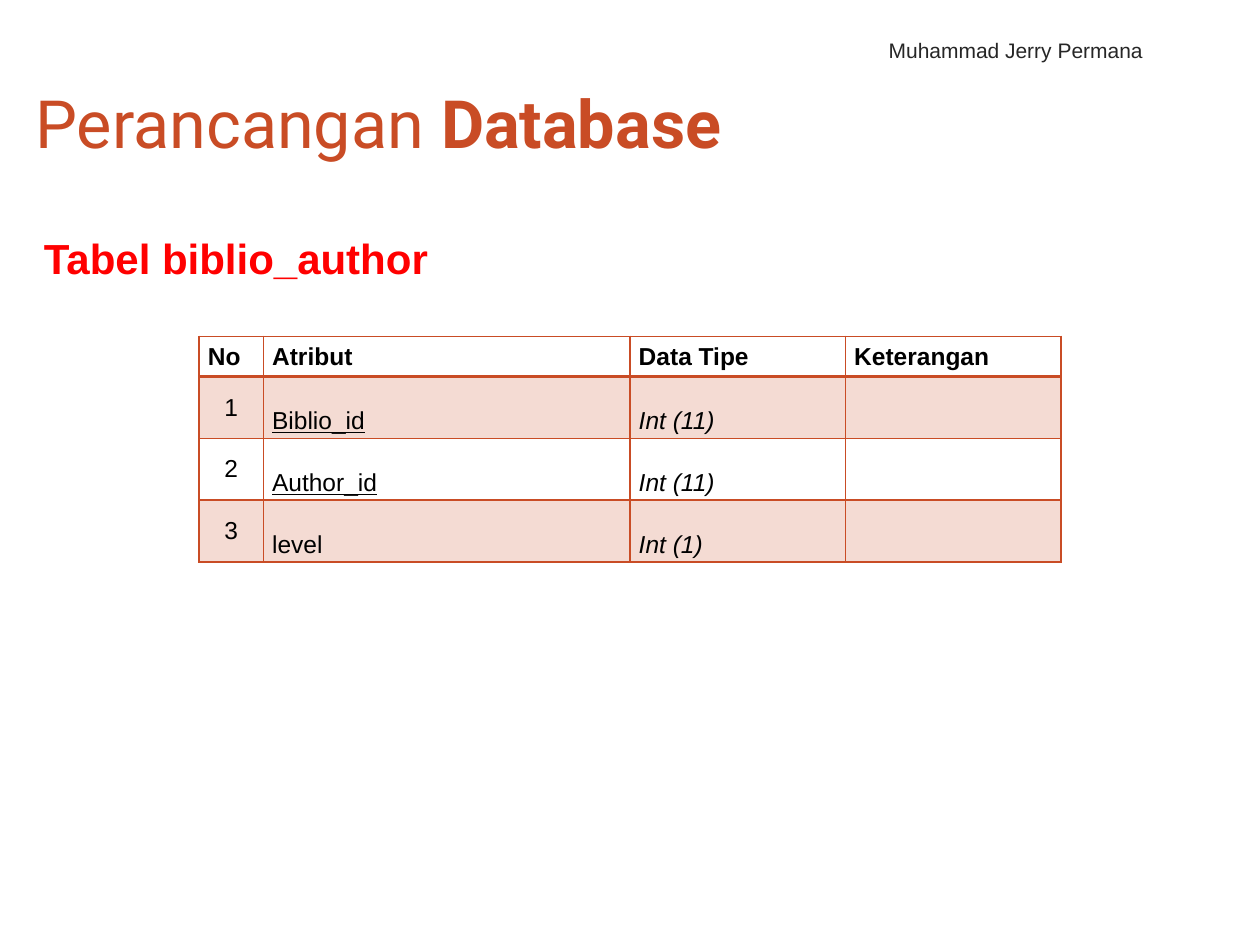
"""Build the database design slide with the biblio_author attribute table."""
from lxml.etree import SubElement
from pptx import Presentation
from pptx.dml.color import RGBColor
from pptx.enum.text import MSO_ANCHOR as Anchor, PP_ALIGN as Align
from pptx.oxml.ns import qn
from pptx.util import Inches, Pt

WIDTH, HEIGHT = 10, 7.5
RUST, RED, INK, BLACK = "C94C25", "FF0000", "262626", "000000"

TEXTS = [
    dict(at=(0.08, 0.53, 6.17, 0.87), anchor=Anchor.MIDDLE, insets=(0.2, 0.05, 0, 0.05),
         runs=[("Perancangan ", dict(bold=False)), ("Database", dict(bold=True))],
         font=dict(size=Pt(38), name="Roboto"), color=RUST, para={}),
    dict(at=(6.25, 0.19, 2.92, 0.36), anchor=Anchor.BOTTOM, insets=(0.1, 0.05, 0.1, 0.05),
         runs=[("Muhammad Jerry Permana", {})],
         font=dict(size=Pt(12), name="Arial"), color=INK, para=dict(alignment=Align.RIGHT)),
    dict(at=(0.25, 1.6, 8.92, 0.63), anchor=Anchor.TOP, insets=(0.1, 0.05, 0.1, 0.05),
         runs=[("Tabel biblio_author", dict(bold=True))],
         font=dict(size=Pt(24), name="Arial"), color=RED, para=dict(line_spacing=1.5)),
]

HEADER = ("No", "Atribut", "Data Tipe", "Keterangan")
ATTRIBUTES = [
    ("Biblio_id", "Int (11)", True),
    ("Author_id", "Int (11)", True),
    ("level", "Int (1)", False),
]
TABLE_LEFT, TABLE_TOP = 1.58, 2.67
COLUMNS = (0.51, 2.91, 1.71, 1.71)
HEADER_ROW, BODY_ROW = 0.32, 0.49
CELL_FONT = dict(size=Pt(14), name="Arial")
SIDES = ("left", "top", "right", "bottom")


def rgb(value):
    """Turn a hex string into a colour."""
    return RGBColor.from_string(value)


def assign(target, values):
    """Set attributes from a dict of format values."""
    for name, value in values.items():
        setattr(target, name, value)


def set_insets(target, insets):
    """Set the four margins in inches."""
    assign(target, {f"margin_{side}": Inches(inset) for side, inset in zip(SIDES, insets)})


def add_run(para, text, font, color):
    """Add one formatted span to a paragraph."""
    span = para.add_run()
    span.text = text
    assign(span.font, font)
    span.font.color.rgb = rgb(color)


def add_text(page, item):
    """Add one text box."""
    box = page.shapes.add_textbox(*map(Inches, item["at"]))
    frame = box.text_frame
    assign(frame, dict(word_wrap=True, vertical_anchor=item["anchor"]))
    set_insets(frame, item["insets"])
    para = frame.paragraphs[0]
    assign(para, item["para"])
    for text, style in item["runs"]:
        add_run(para, text, item["font"] | style, item["color"])


def set_borders(cell, top, bottom):
    """Draw the four cell borders in rust."""
    properties = cell._tc.get_or_add_tcPr()
    for tag, points in (("a:lnL", 1), ("a:lnR", 1), ("a:lnT", top), ("a:lnB", bottom)):
        line = SubElement(properties, qn(tag), w=str(Pt(points)))
        SubElement(SubElement(line, qn("a:solidFill")), qn("a:srgbClr"), val=RUST)


def set_fill(cell, shaded):
    """Tint the cell with translucent rust or leave it clear."""
    if not shaded:
        cell.fill.background()
        return
    cell.fill.solid()
    cell.fill.fore_color.rgb = rgb(RUST)
    color = cell._tc.tcPr.find(qn("a:solidFill")).find(qn("a:srgbClr"))
    SubElement(color, qn("a:alpha"), val="20000")


def table_rows():
    """Return each row as (text, font style, paragraph style) cells."""
    rows = [[(title, dict(bold=True), {}) for title in HEADER]]
    for number, (attribute, kind, key) in enumerate(ATTRIBUTES, 1):
        rows.append([
            (str(number), {}, dict(alignment=Align.CENTER)),
            (attribute, dict(underline=key), dict(line_spacing=2.0)),
            (kind, dict(italic=True), dict(line_spacing=2.0)),
            ("", {}, {}),
        ])
    return rows


def add_attribute_table(page):
    """Add the table of attributes."""
    rows = table_rows()
    heights = [HEADER_ROW] + [BODY_ROW] * len(ATTRIBUTES)
    size = (TABLE_LEFT, TABLE_TOP, sum(COLUMNS), sum(heights))
    table = page.shapes.add_table(len(rows), len(COLUMNS), *map(Inches, size)).table
    assign(table, dict(first_row=False, horz_banding=False))
    for column, width in zip(table.columns, COLUMNS):
        column.width = Inches(width)
    for index, (row, height) in enumerate(zip(rows, heights)):
        table.rows[index].height = Inches(height)
        for cell, (text, style, layout) in zip(table.rows[index].cells, row):
            set_borders(cell, 2 if index == 1 else 1, 2 if index == 0 else 1)
            set_fill(cell, index % 2 == 1)
            if not text:
                continue
            edge = 0 if "line_spacing" in layout else 0.03
            set_insets(cell, (0.07, edge, 0.07, edge))
            cell.vertical_anchor = Anchor.MIDDLE
            para = cell.text_frame.paragraphs[0]
            assign(para, layout)
            add_run(para, text, CELL_FONT | dict(bold=False) | style, BLACK)


def main():
    """Build and save the deck."""
    deck = Presentation()
    assign(deck, dict(slide_width=Inches(WIDTH), slide_height=Inches(HEIGHT)))
    page = deck.slides.add_slide(deck.slide_layouts[6])
    for item in TEXTS:
        add_text(page, item)
    add_attribute_table(page)
    deck.save("out.pptx")


if __name__ == "__main__":
    main()
